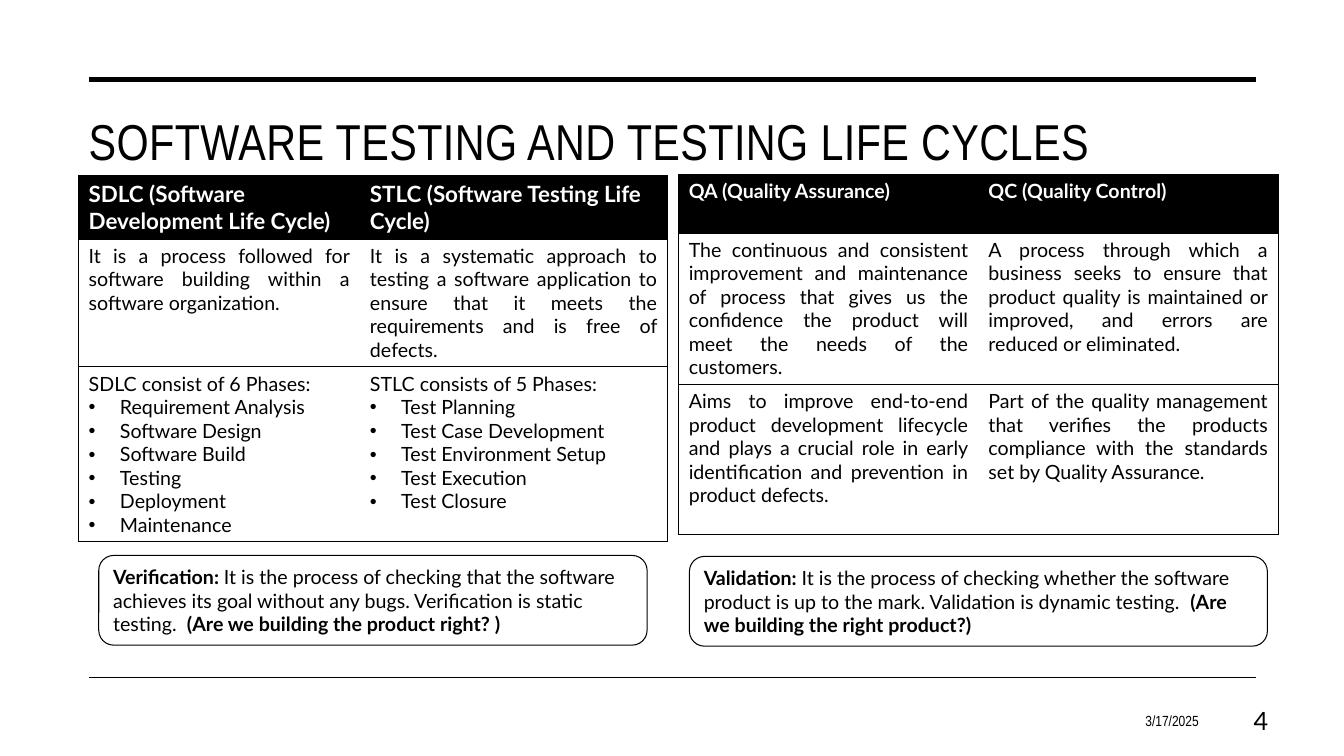
import pptx
import pptx.util
import pptx.dml.color
import pptx.enum.shapes
import pptx.enum.text
import pptx.oxml
import lxml.etree

INK = {"black": "000000", "white": "FFFFFF"}
NS = 'xmlns:a="http://schemas.openxmlformats.org/drawingml/2006/main"'
ALIGN = pptx.enum.text.PP_ALIGN
ANCHOR = pptx.enum.text.MSO_ANCHOR
SHAPE = pptx.enum.shapes.MSO_SHAPE

deck = pptx.Presentation()
deck.slide_width = pptx.util.Inches(13.33)
deck.slide_height = pptx.util.Inches(7.5)
slide = deck.slides.add_slide(deck.slide_layouts[5])
shapes = slide.shapes
col = deck.slide_width / 100
row = deck.slide_height / 100


def place(x, y, w, h):
    return int(x * col), int(y * row), int(w * col), int(h * row)


def style(run, size, face="Lato", ink="black", bold=False):
    run.font.size = pptx.util.Pt(size)
    run.font.name = face
    run.font.bold = bold
    run.font.color.rgb = pptx.dml.color.RGBColor.from_string(INK[ink])


for y, weight in [(10.53, 3.5), (89.6, 1)]:
    rule = shapes.add_connector(
        pptx.enum.shapes.MSO_CONNECTOR.STRAIGHT,
        int(6.6 * col), int(y * row), int(93.45 * col), int(y * row))
    rule.line.width = pptx.util.Pt(weight)
    rule.line.color.rgb = pptx.dml.color.RGBColor.from_string(INK["black"])
    rule._element.spPr.append(pptx.oxml.parse_xml(f"<a:effectLst {NS}/>"))

title = shapes.title
title.left, title.top, title.width, title.height = place(5.85, 13.47, 87.6, 9.73)
frame = title.text_frame
frame.text = "SOFTWARE TESTING AND TESTING LIFE CYCLES"
frame.vertical_anchor = ANCHOR.BOTTOM
frame.auto_size = pptx.enum.text.MSO_AUTO_SIZE.NONE
frame.paragraphs[0].alignment = ALIGN.LEFT
style(frame.paragraphs[0].runs[0], 36, "Arial Narrow")
frame.paragraphs[0].runs[0].font._element.set("spc", "30")

grids = [
    {"at": (5.85, 23.2), "cols": (20.93, 22.88), "rows": (8.27, 15.33, 22.53), "head": 16,
     "cells": [
         ["SDLC (Software Development Life Cycle)", "STLC (Software Testing Life Cycle)"],
         ["It is a process followed for software building within a software organization. ",
          "It is a systematic approach to testing a software application to ensure that "
          "it meets the requirements and is free of defects."],
         ["SDLC consist of 6 Phases:\nRequirement Analysis\nSoftware Design\n"
          "Software Build\nTesting\nDeployment\nMaintenance",
          "STLC consists of 5 Phases:\nTest Planning\nTest Case Development\n"
          "Test Environment Setup\nTest Execution\nTest Closure"]]},
    {"at": (50.5, 23.07), "cols": (22.3, 22.3), "rows": (7.73, 19.87, 19.87), "head": 14,
     "cells": [
         ["QA (Quality Assurance)", "QC (Quality Control)"],
         ["The continuous and consistent improvement and maintenance of process that gives "
          "us the confidence the product will meet the needs of the customers.",
          "A process through which a business seeks to ensure that product quality is "
          "maintained or improved, and errors are reduced or eliminated."],
         ["Aims to improve end-to-end product development lifecycle and plays a crucial "
          "role in early identification and prevention in product defects.",
          "Part of the quality management that verifies the products compliance with the "
          "standards set by Quality Assurance."]]},
]
for grid in grids:
    spot = place(*grid["at"], sum(grid["cols"]), sum(grid["rows"]))
    table = shapes.add_table(3, 2, *spot).table
    for c, wide in enumerate(grid["cols"]):
        table.columns[c].width = int(wide * col)
    for r, high in enumerate(grid["rows"]):
        table.rows[r].height = int(high * row)
        for c, text in enumerate(grid["cells"][r]):
            cell = table.cell(r, c)
            cell.text_frame.text = text
            edges = {"lnL": c == 0, "lnR": c == 1, "lnT": True, "lnB": True}
            for edge, shown in edges.items():
                fill = (f'<a:solidFill><a:srgbClr val="{INK["black"]}"/></a:solidFill>'
                        if shown else "<a:noFill/>")
                cell._tc.get_or_add_tcPr().append(
                    pptx.oxml.parse_xml(f'<a:{edge} {NS} w="6350">{fill}</a:{edge}>'))
            if r == 0:
                cell.fill.solid()
                cell.fill.fore_color.rgb = pptx.dml.color.RGBColor.from_string(INK["black"])
            else:
                cell.fill.background()
            paras = cell.text_frame.paragraphs
            for i, para in enumerate(paras):
                justed = r > 0 and len(paras) == 1
                para.alignment = ALIGN.JUSTIFY if justed else ALIGN.LEFT
                if r == 0:
                    style(para.runs[0], grid["head"], ink="white", bold=True)
                else:
                    style(para.runs[0], 14)
                if i > 0:
                    props = para._p.get_or_add_pPr()
                    dent = pptx.util.Inches(0.31)
                    props.set("marL", str(dent))
                    props.set("indent", str(-dent))
                    props.append(pptx.oxml.parse_xml(f'<a:buFont {NS} typeface="Arial"/>'))
                    props.append(pptx.oxml.parse_xml(f'<a:buChar {NS} char="•"/>'))

notes = [
    ((7.35, 73.47, 40.8, 11.87),
     ["Verification: ",
      "It is the process of checking that the software achieves its goal without any "
      "bugs. Verification is static testing.  ",
      "(Are we building the product right? )"]),
    ((51.3, 73.6, 43, 11.87),
     ["Validation: ",
      "It is the process of checking whether the software product is up to the mark. "
      "Validation is dynamic testing.  ",
      "(Are we building the right product?)"]),
]
for spot, parts in notes:
    box = shapes.add_shape(SHAPE.ROUNDED_RECTANGLE, *place(*spot))
    box.shadow.inherit = False
    box.fill.background()
    box.line.width = pptx.util.Pt(0.75)
    box.line.color.rgb = pptx.dml.color.RGBColor.from_string(INK["black"])
    box.text_frame.word_wrap = True
    box.text_frame.vertical_anchor = ANCHOR.MIDDLE
    para = box.text_frame.paragraphs[0]
    para.alignment = ALIGN.LEFT
    for i, part in enumerate(parts):
        run = para.add_run()
        run.text = part
        style(run, 14, bold=i != 1)

foot = [
    ((68.63, 92.67, 21.3, 5.33), "3/17/2025", 10.5, "Arial Narrow"),
    ((89.55, 92.67, 5.55, 5.33), "4", 18, "Lato"),
]
for spot, text, size, face in foot:
    frame = shapes.add_textbox(*place(*spot)).text_frame
    frame.word_wrap = True
    frame.text = text
    frame.vertical_anchor = ANCHOR.MIDDLE
    frame.paragraphs[0].alignment = ALIGN.RIGHT
    style(frame.paragraphs[0].runs[0], size, face)

deck.save("out.pptx")
